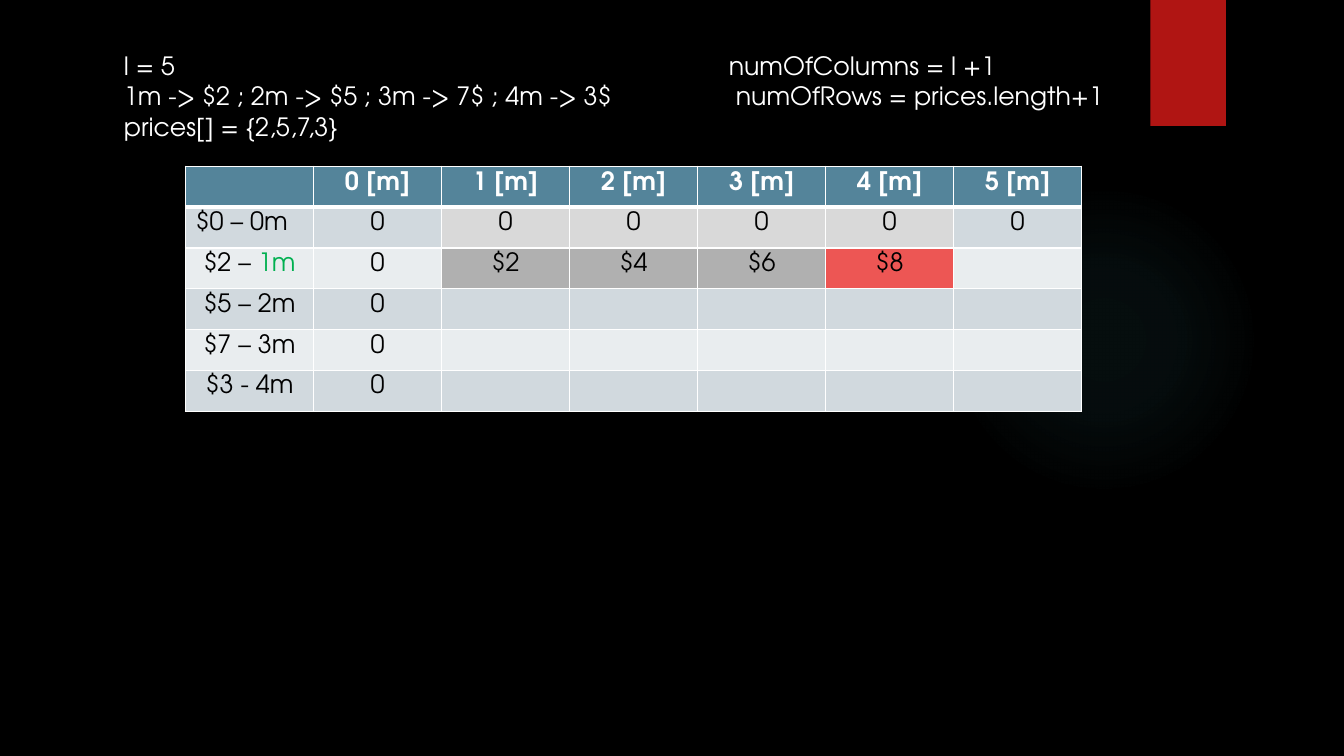
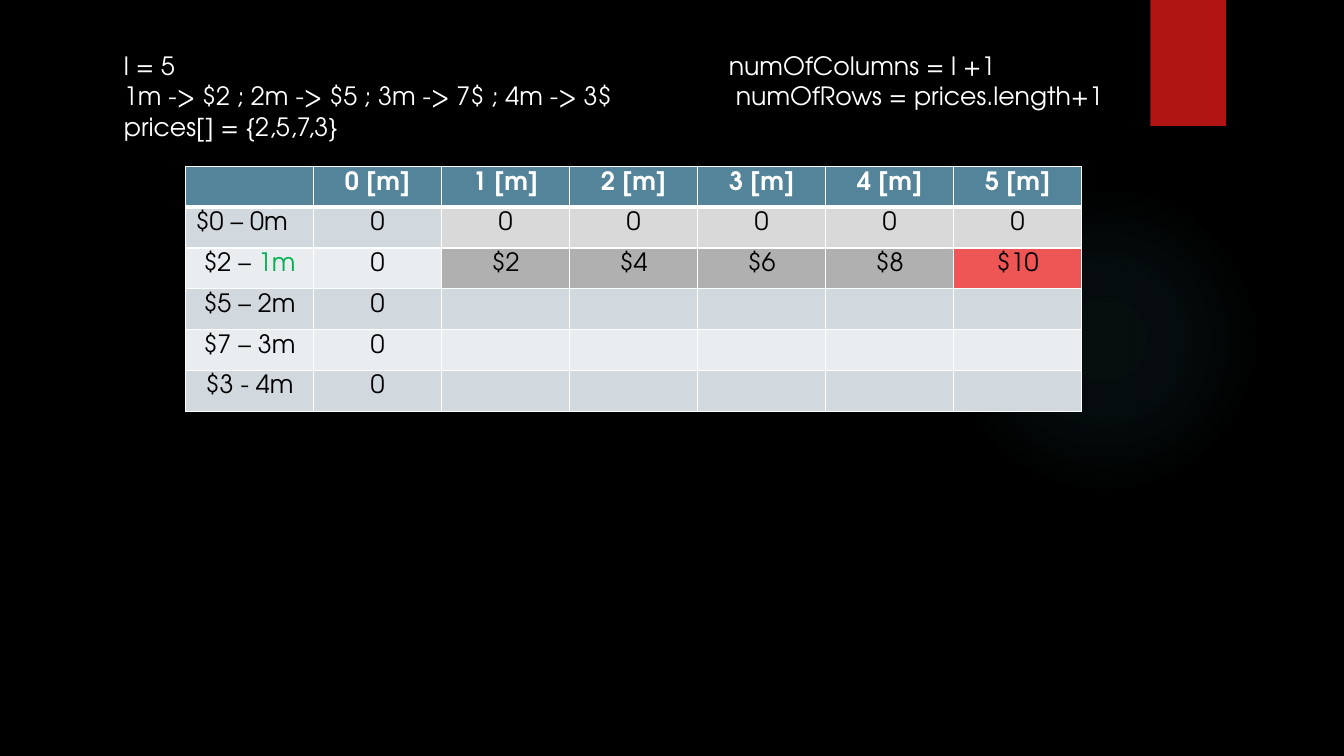
from dataclasses import dataclass

from lxml.etree import SubElement
from pptx import Presentation
from pptx.dml.color import RGBColor
from pptx.enum.shapes import MSO_SHAPE
from pptx.enum.text import MSO_ANCHOR, PP_ALIGN
from pptx.oxml import parse_xml
from pptx.oxml.ns import nsdecls, qn
from pptx.slide import Slide, SlideLayout
from pptx.util import Inches, Pt

FONT = "TeX Gyre Adventor"
BLACK, WHITE, GREEN, RED = "000000", "FFFFFF", "00B050", "B01513"
GLOW = "50B9C1"
GLOW_STOPS = [(0, 7), (36, 6), (69, 0)]
HEADER_FILL, BAND_FILLS = "54849A", ["D1D9DE", "E9EDEF"]
BASE_FILL, SOLVED_FILL, CURRENT_FILL = "D9D9D9", "B0B0B0", "ED5654"

ROD_LENGTH = 5
UNIT_PRICE = 2
COLUMN_WIDTH, TABLE_HEIGHT = 1.27, 2.43


@dataclass(frozen=True)
class TextRun:
    text: str
    color: str = BLACK
    bold: bool = False


@dataclass(frozen=True)
class TableCell:
    runs: tuple[TextRun, ...]
    fill: str
    align: PP_ALIGN = PP_ALIGN.CENTER


@dataclass(frozen=True)
class HeadingLine:
    text: str
    tab_stop: float | None = None


HEADING_LINES = [
    HeadingLine("l = 5\tnumOfColumns = l +1", 6.0),
    HeadingLine("1m -> $2 ; 2m -> $5 ; 3m -> 7$ ; 4m -> 3$\tnumOfRows = prices.length+1", 6.07),
    HeadingLine("prices[] = {2,5,7,3}"),
]

ROW_LABELS = [
    (TextRun("$0 – 0m"),),
    (TextRun("$2 – "), TextRun("1m", GREEN)),
    (TextRun("$5 – 2m"),),
    (TextRun("$7 – 3m"),),
    (TextRun("$3 - 4m"),),
]


def rgb(color: str) -> RGBColor:
    return RGBColor.from_string(color)


def add_runs(paragraph, runs: tuple[TextRun, ...]) -> None:
    for item in runs:
        run = paragraph.add_run()
        run.text = item.text
        run.font.name = FONT
        run.font.size = Pt(18)
        run.font.bold = item.bold
        run.font.color.rgb = rgb(item.color)


def decorate_layout(layout: SlideLayout, slide: Slide) -> None:
    """Give the layout its background, glow and red tab, drawn by way of a slide."""
    layout.background.fill.solid()
    layout.background.fill.fore_color.rgb = rgb(BLACK)

    glow = slide.shapes.add_shape(
        MSO_SHAPE.OVAL, Inches(9.41), Inches(1.83), Inches(3.08), Inches(3.08))
    stops = "".join(
        f'<a:gs pos="{position * 1000}"><a:srgbClr val="{GLOW}">'
        f'<a:alpha val="{opacity * 1000}"/></a:srgbClr></a:gs>'
        for position, opacity in GLOW_STOPS)
    gradient = parse_xml(
        f'<a:gradFill {nsdecls("a")}><a:gsLst>{stops}</a:gsLst><a:path path="circle">'
        '<a:fillToRect l="50000" t="50000" r="50000" b="50000"/></a:path></a:gradFill>')
    glow.element.spPr.find(qn("a:prstGeom")).addnext(gradient)

    red_tab = slide.shapes.add_shape(
        MSO_SHAPE.RECTANGLE, Inches(11.41), Inches(0), Inches(0.75), Inches(1.25))
    red_tab.fill.solid()
    red_tab.fill.fore_color.rgb = rgb(RED)

    for shape in (glow, red_tab):
        shape.line.fill.background()
        shape.shadow.inherit = False
        layout.shapes.element.append(shape.element)


def add_heading(slide: Slide) -> None:
    box = slide.shapes.add_textbox(Inches(1.13), Inches(0.45), Inches(10.31), Inches(1.31))
    frame = box.text_frame
    frame.word_wrap = True
    for index, line in enumerate(HEADING_LINES):
        paragraph = frame.paragraphs[0] if index == 0 else frame.add_paragraph()
        if line.tab_stop is not None:
            properties = paragraph._p.get_or_add_pPr()
            tabs = SubElement(properties, qn("a:tabLst"))
            SubElement(tabs, qn("a:tab"), pos=str(Inches(line.tab_stop)), algn="l")
        add_runs(paragraph, (TextRun(line.text, WHITE),))


def table_cells(solved_length: int) -> list[list[TableCell]]:
    """Work out the table once every length up to solved_length is priced."""
    header = [TableCell((), HEADER_FILL)] + [
        TableCell((TextRun(f"{length} [m]", WHITE, True),), HEADER_FILL)
        for length in range(ROD_LENGTH + 1)]
    rows = [header]
    for piece, label in enumerate(ROW_LABELS):
        band = BAND_FILLS[piece % 2]
        label_align = PP_ALIGN.LEFT if piece == 0 else PP_ALIGN.CENTER
        row = [TableCell(label, band, label_align)]
        for length in range(ROD_LENGTH + 1):
            text, fill = "", band
            solved = 1 <= length <= solved_length
            if piece == 0 or length == 0:
                text = "0"
                fill = BASE_FILL if piece == 0 and solved else band
            elif piece == 1 and solved:
                text = f"${UNIT_PRICE * length}"
                fill = CURRENT_FILL if length == solved_length else SOLVED_FILL
            row.append(TableCell((TextRun(text),) if text else (), fill))
        rows.append(row)
    return rows


def set_borders(cell, top: float, bottom: float) -> None:
    properties = cell._tc.get_or_add_tcPr()
    for side, width in (("L", 1), ("R", 1), ("T", top), ("B", bottom)):
        line = SubElement(properties, qn(f"a:ln{side}"), w=str(Pt(width)))
        fill = SubElement(line, qn("a:solidFill"))
        SubElement(fill, qn("a:srgbClr"), val=WHITE)


def add_price_table(slide: Slide, solved_length: int) -> None:
    rows = table_cells(solved_length)
    row_count, column_count = len(rows), len(rows[0])
    table = slide.shapes.add_table(
        row_count, column_count, Inches(1.84), Inches(1.65),
        Inches(COLUMN_WIDTH * column_count), Inches(TABLE_HEIGHT)).table
    table.first_row = False
    table.horz_banding = False
    for column in table.columns:
        column.width = Inches(COLUMN_WIDTH)
    for row_index, row in enumerate(rows):
        table.rows[row_index].height = Inches(TABLE_HEIGHT / row_count)
        for column_index, content in enumerate(row):
            cell = table.cell(row_index, column_index)
            cell.margin_left = cell.margin_right = Inches(0.1)
            cell.margin_top = cell.margin_bottom = Inches(0.05)
            cell.vertical_anchor = MSO_ANCHOR.TOP
            set_borders(cell, 3 if row_index == 1 else 1, 3 if row_index == 0 else 1)
            cell.fill.solid()
            cell.fill.fore_color.rgb = rgb(content.fill)
            paragraph = cell.text_frame.paragraphs[0]
            paragraph.alignment = content.align
            add_runs(paragraph, content.runs)


def main() -> None:
    presentation = Presentation()
    presentation.slide_width = Inches(13.33)
    presentation.slide_height = Inches(7.5)
    layout = presentation.slide_layouts[6]
    slides = [(presentation.slides.add_slide(layout), length) for length in (4, 5)]
    decorate_layout(layout, slides[0][0])
    for slide, solved_length in slides:
        add_heading(slide)
        add_price_table(slide, solved_length)
    presentation.save("out.pptx")


if __name__ == "__main__":
    main()
